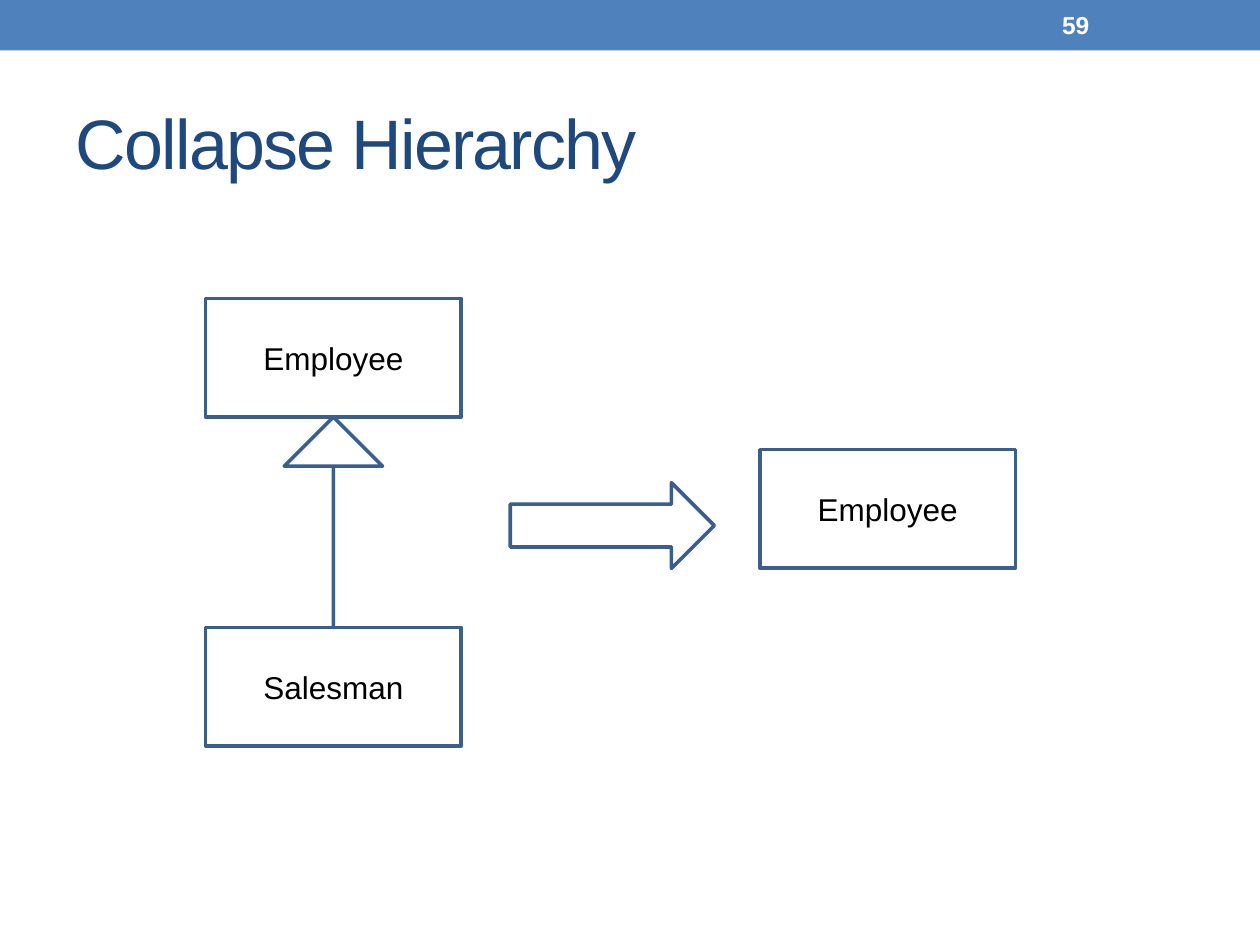
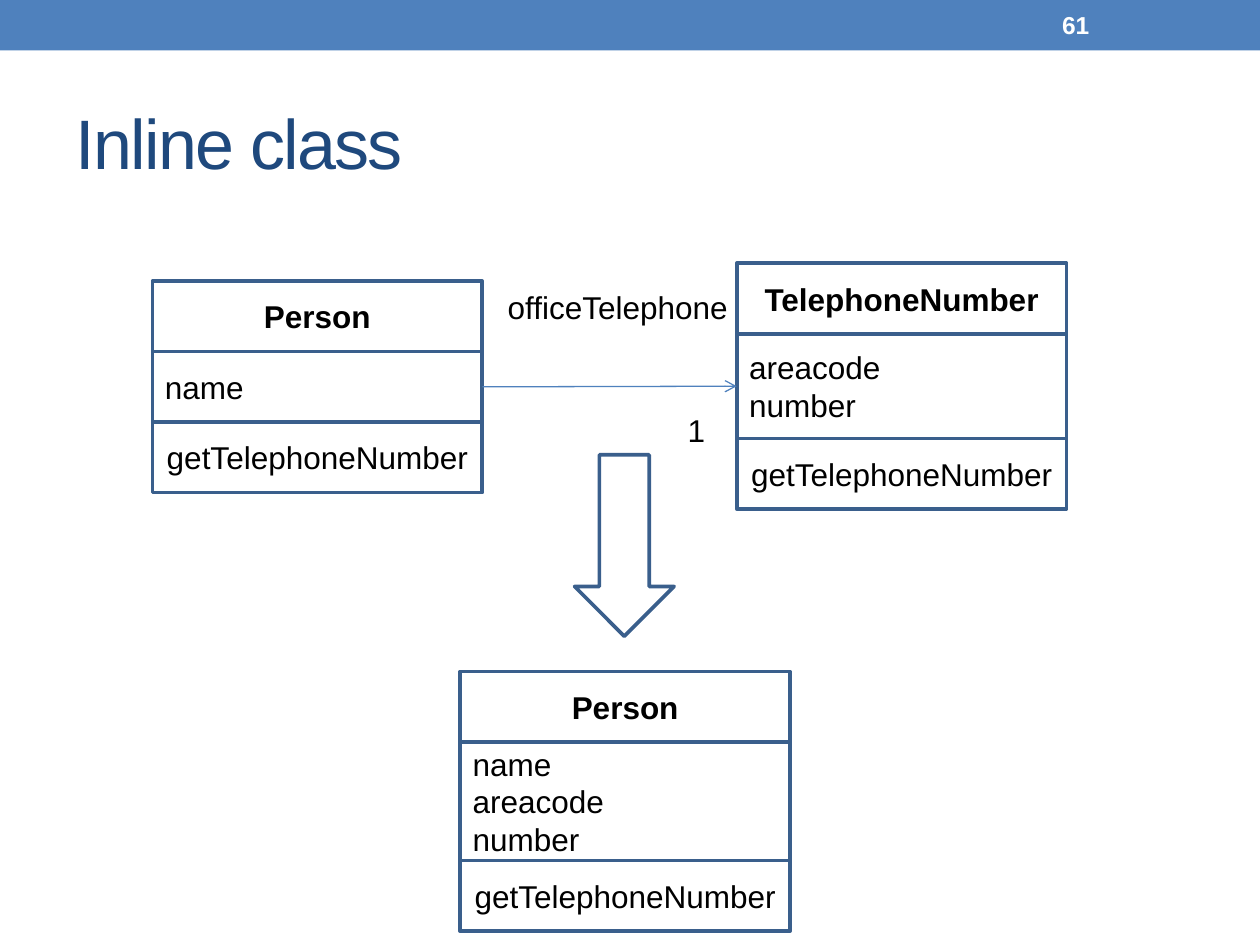
from dataclasses import dataclass
from lxml.etree import SubElement
from pptx import Presentation
from pptx.dml.color import RGBColor
from pptx.enum.shapes import MSO_CONNECTOR, MSO_SHAPE
from pptx.enum.text import MSO_ANCHOR, PP_ALIGN
from pptx.oxml.ns import qn
from pptx.util import Pt


@dataclass(frozen=True)
class Theme:
    font: str = "Arial"
    band: RGBColor = RGBColor(0x4F, 0x81, 0xBD)
    heading: RGBColor = RGBColor(0x1F, 0x49, 0x7D)
    outline: RGBColor = RGBColor(0x3A, 0x5F, 0x8C)
    ink: RGBColor = RGBColor(0, 0, 0)
    paper: RGBColor = RGBColor(255, 255, 255)
    heading_size: int = 40
    label_size: int = 18
    number_size: int = 14
    outline_width: float = 2.08
    link_width: float = 0.75


theme = Theme()


def write(text, holder, size=theme.label_size, color=theme.ink, bold=False,
          align=PP_ALIGN.LEFT, anchor=MSO_ANCHOR.MIDDLE, spacing=None):
    frame = holder.text_frame
    frame.word_wrap = True
    frame.vertical_anchor = anchor
    frame.text = text
    for paragraph in frame.paragraphs:
        paragraph.alignment = align
        for run in paragraph.runs:
            run.font.name = theme.font
            run.font.size = Pt(size)
            run.font.bold = bold
            run.font.color.rgb = color
            if spacing is not None:
                run._r.get_or_add_rPr().set("spc", str(spacing * 100))


def draw_outline(slide, preset, left, top, width, height):
    figure = slide.shapes.add_shape(preset, Pt(left), Pt(top), Pt(width), Pt(height))
    figure.shadow.inherit = False
    figure.fill.background()
    figure.line.color.rgb = theme.outline
    figure.line.width = Pt(theme.outline_width)
    return figure


deck = Presentation()
deck.slide_width, deck.slide_height = Pt(720), Pt(540)
layout = deck.slide_layouts[5]
heading = layout.placeholders[0]
heading.left, heading.top, heading.width, heading.height = Pt(36), Pt(41.8), Pt(648), Pt(77.8)

slides = []
for topic, number in (("Collapse Hierarchy", "59"), ("Inline class", "61")):
    slide = deck.slides.add_slide(layout)
    write(topic, slide.shapes.title, size=theme.heading_size, color=theme.heading, spacing=-1)
    page = slide.shapes.add_textbox(Pt(599.8), Pt(1.4), Pt(84.2), Pt(25.9))
    write(number, page, size=theme.number_size, color=theme.paper, bold=True)
    slides.append(slide)
hierarchy, inlining = slides

band = hierarchy.shapes.add_shape(MSO_SHAPE.RECTANGLE, 0, 0, deck.slide_width, Pt(28.8))
band.shadow.inherit = False
band.fill.solid()
band.fill.fore_color.rgb = theme.band
band.line.fill.background()
layout.shapes._spTree.insert(2, band._element)

box_width, box_height = 146.2, 67.7
family_left, parent_top, child_top = 117.4, 170.6, 358.6
for name, left, top in (
    ("Employee", family_left, parent_top),
    ("Salesman", family_left, child_top),
    ("Employee", 434.2, 257),
):
    box = draw_outline(hierarchy, MSO_SHAPE.RECTANGLE, left, top, box_width, box_height)
    write(name, box, align=PP_ALIGN.CENTER)

draw_outline(hierarchy, MSO_SHAPE.RIGHT_ARROW, 291.6, 275.8, 116.6, 49)
parent_bottom = parent_top + box_height
inherits_width = 56.2
inherits = draw_outline(hierarchy, MSO_SHAPE.UP_ARROW,
                        family_left + (box_width - inherits_width) / 2, parent_bottom,
                        inherits_width, child_top - parent_bottom)
inherits.adjustments[0] = 0
inherits.adjustments[1] = 0.5

class_width, row_height = 188.5, 40.3
field_boxes = []
for name, fields, left, top, fields_height in (
    ("Person", "name", 87.1, 160.6, row_height),
    ("TelephoneNumber", "areacode\nnumber", 421, 150.5, 59.8),
    ("Person", "name\nareacode\nnumber", 263, 383.8, 67.7),
):
    for text, height, bold, align in (
        (name, row_height, True, PP_ALIGN.CENTER),
        (fields, fields_height, False, PP_ALIGN.LEFT),
        ("getTelephoneNumber", row_height, False, PP_ALIGN.CENTER),
    ):
        row = draw_outline(inlining, MSO_SHAPE.RECTANGLE, left, top, class_width, height)
        write(text, row, bold=bold, align=align)
        if text == fields:
            field_boxes.append(row)
        top += height

association = inlining.shapes.add_connector(MSO_CONNECTOR.STRAIGHT, 0, 0, 0, 0)
association.begin_connect(field_boxes[0], 3)
association.end_connect(field_boxes[1], 1)
association.line.color.rgb = theme.band
association.line.width = Pt(theme.link_width)
SubElement(association.line._get_or_add_ln(), qn("a:tailEnd"), type="arrow")
SubElement(association._element.spPr, qn("a:effectLst"))

for text, left, top, width in (
    ("1", 385.9, 231.1, 35.3),
    ("officeTelephone", 283, 161.3, 152.6),
):
    label = inlining.shapes.add_textbox(Pt(left), Pt(top), Pt(width), Pt(28.8))
    write(text, label, anchor=MSO_ANCHOR.TOP)

draw_outline(inlining, MSO_SHAPE.DOWN_ARROW, 328.3, 259.9, 56.9, 103.7)

deck.save("out.pptx")
